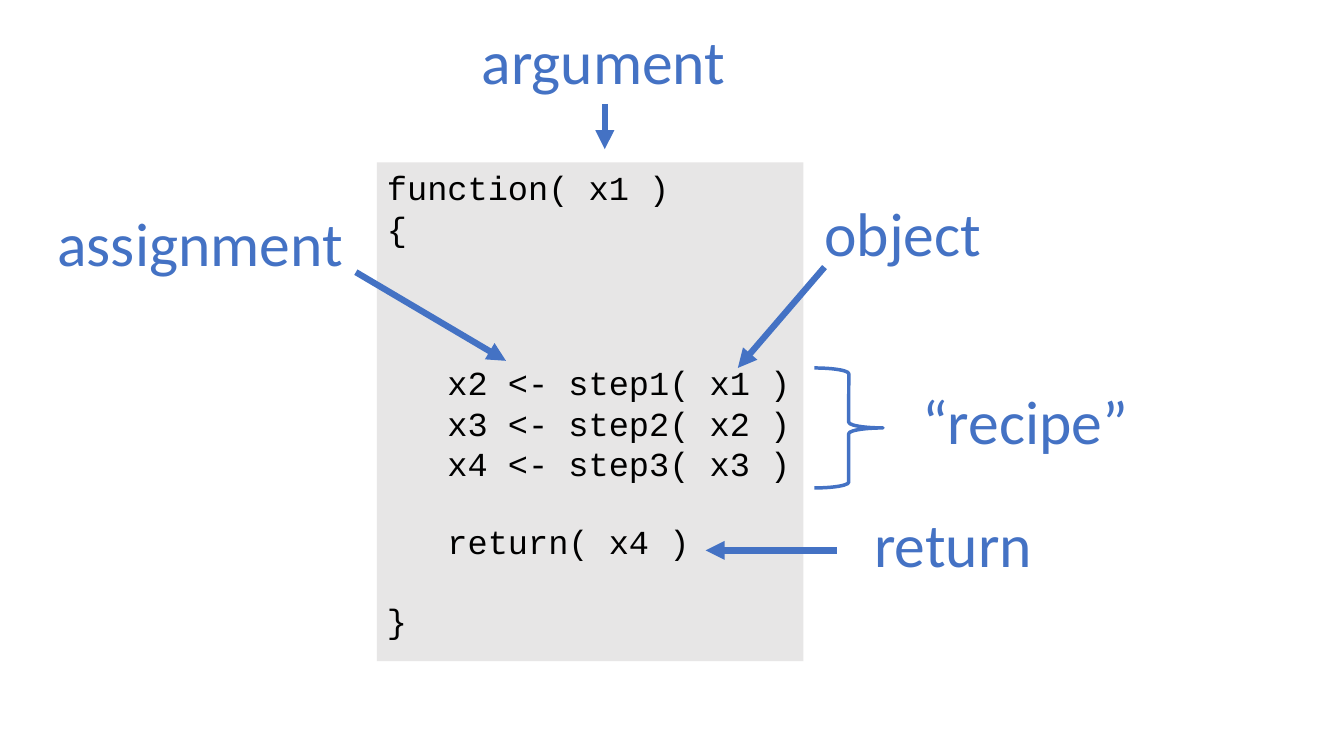
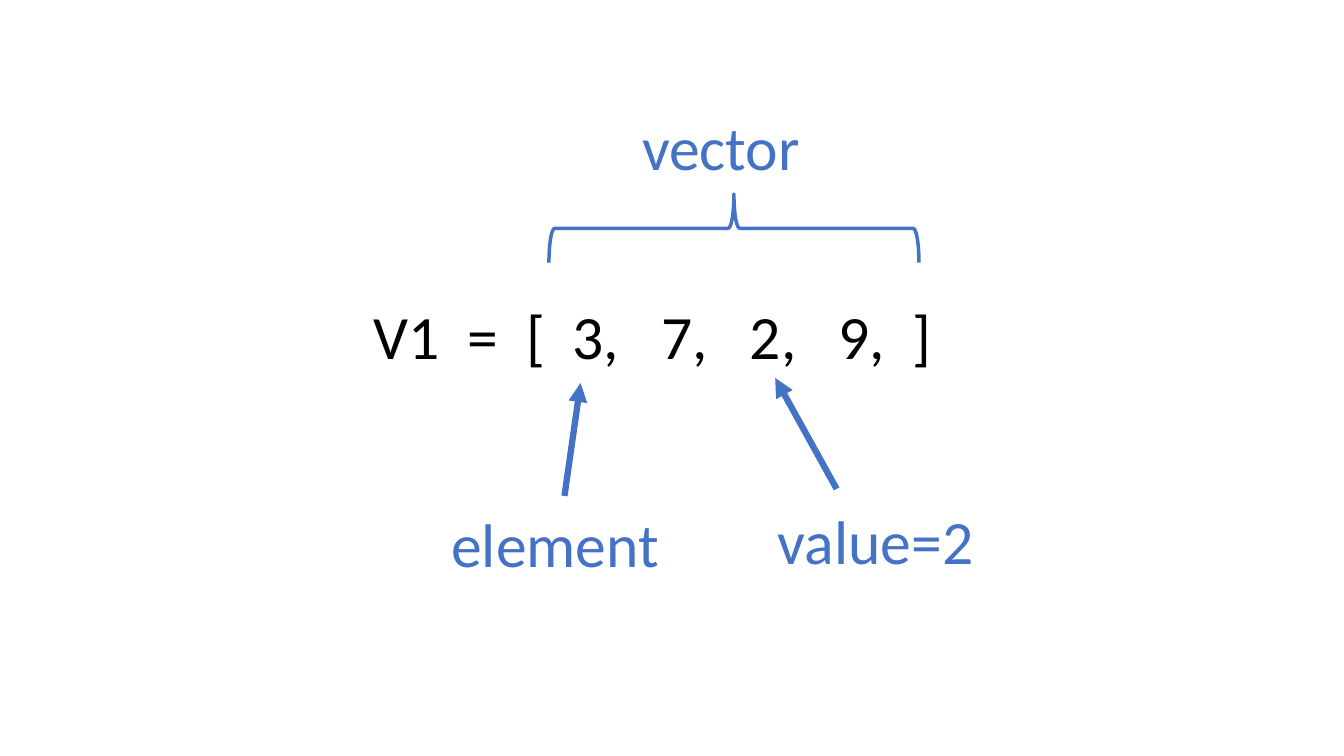
from dataclasses import dataclass

from lxml import etree
from pptx import Presentation
from pptx.dml.color import RGBColor
from pptx.enum.shapes import MSO_CONNECTOR, MSO_SHAPE
from pptx.enum.text import MSO_ANCHOR, PP_ALIGN
from pptx.oxml.ns import qn
from pptx.util import Inches, Pt

RECTANGLE = MSO_SHAPE.RECTANGLE
RIGHT_BRACE = MSO_SHAPE.RIGHT_BRACE
STRAIGHT = MSO_CONNECTOR.STRAIGHT
LEFT = PP_ALIGN.LEFT
TOP = MSO_ANCHOR.TOP

WIDTH, HEIGHT = Inches(13.33), Inches(7.5)
GRID = 100  # columns across and rows down the slide
BLANK_LAYOUT = 6


@dataclass(frozen=True)
class Theme:
    """Colours, fonts, type sizes and line weights of the deck."""
    accent: RGBColor = RGBColor(0x44, 0x72, 0xC4)
    ink: RGBColor = RGBColor(0, 0, 0)
    panel: RGBColor = RGBColor(0xE7, 0xE6, 0xE6)
    text_font: str = "Calibri"
    code_font: str = "Courier New"
    label_size: float = 44
    code_size: float = 24
    code_line: float = 27.2
    code_indent: float = 43.2
    label_rows: float = 11.2
    arrow_weight: float = 4.5
    brace_weight: float = 2.5


THEME = Theme()

# Each code line: blank lines above it, indent steps, text
CODE = [
    (0, 0, "function( x1 )"),
    (0, 0, "{"),
    (3, 1, "x2 <- step1( x1 )"),
    (0, 1, "x3 <- step2( x2 )"),
    (0, 1, "x4 <- step3( x3 )"),
    (1, 1, "return( x4 )"),
    (1, 0, "}"),
]

# Labels: text, left column, top row, columns wide
FUNCTION_LABELS = [
    ("argument", 35.1, 2.4, 19.88),
    ("assignment", 3.53, 26.4, 22.96),
    ("return", 64.3, 66.27, 13.35),
    ("object", 60.6, 25.07, 13.28),
    ("“recipe”", 67.88, 50, 16.95),
]
VECTOR_LABELS = [
    ("vector", 47.03, 13.73, 13.43),
    ("element", 32.85, 66.27, 17.1),
    ("value=2", 57.15, 65.87, 16.57),
]

# Arrows: start column and row, end column and row
FUNCTION_ARROWS = [
    (45, 13.73, 45, 19.73),
    (26.48, 36, 37.65, 47.73),
    (62.25, 72.8, 52.5, 72.8),
    (61.35, 35.33, 54.9, 48.67),
]
VECTOR_ARROWS = [
    (42, 65.6, 43.2, 50.67),
    (62.25, 64.67, 57.68, 50),
]

VECTOR_PARTS = ["V1", "=", "[", "3,", "7,", "2,", "9,", "]"]
FIRST_ELEMENT, ELEMENT_STEP = 1.97, 0.88
VECTOR_STOPS = [0.93, 1.51,
                *(FIRST_ELEMENT + ELEMENT_STEP * i for i in range(4)), 5.34]


def place(*cells):
    """Turn alternating columns and rows into slide lengths."""
    return [int(cell * (HEIGHT if i % 2 else WIDTH) / GRID)
            for i, cell in enumerate(cells)]


def style_font(para, name, size, colour):
    """Set the font of a whole paragraph."""
    para.font.name = name
    para.font.size = Pt(size)
    para.font.color.rgb = colour


def add_label(page, text, column, row, columns, colour=THEME.accent):
    """Add one line of large text and return its paragraph."""
    box = page.shapes.add_textbox(*place(column, row, columns, THEME.label_rows))
    box.text_frame.word_wrap = False
    para = box.text_frame.paragraphs[0]
    para.text = text
    style_font(para, THEME.text_font, THEME.label_size, colour)
    return para


def add_arrow(page, *ends):
    """Add a straight arrow with a triangle head at its end."""
    arrow = page.shapes.add_connector(STRAIGHT, *place(*ends))
    arrow.line.color.rgb = THEME.accent
    arrow.line.width = Pt(THEME.arrow_weight)
    etree.SubElement(arrow.line._get_or_add_ln(), qn("a:tailEnd"), type="triangle")
    etree.SubElement(arrow._element.spPr, qn("a:effectLst"))


def add_brace(page, *cells, rotation=0):
    """Add an outlined brace, turned by the given degrees."""
    brace = page.shapes.add_shape(RIGHT_BRACE, *place(*cells))
    brace.shadow.inherit = False
    brace.fill.background()
    brace.line.color.rgb = THEME.accent
    brace.line.width = Pt(THEME.brace_weight)
    brace.rotation = rotation


def add_code_panel(page, lines, *cells):
    """Add a filled panel that holds a code listing."""
    panel = page.shapes.add_shape(RECTANGLE, *place(*cells))
    panel.shadow.inherit = False
    panel.fill.solid()
    panel.fill.fore_color.rgb = THEME.panel
    panel.line.fill.background()
    frame = panel.text_frame
    frame.word_wrap = False
    frame.vertical_anchor = TOP
    for i, (gap, indent, text) in enumerate(lines):
        para = frame.add_paragraph() if i else frame.paragraphs[0]
        para.text = text
        para.alignment = LEFT
        para.space_before = Pt(gap * THEME.code_line)
        margin = Pt(indent * THEME.code_indent)
        para._p.get_or_add_pPr().set("marL", str(margin))
        style_font(para, THEME.code_font, THEME.code_size, THEME.ink)


def set_tab_stops(para, stops):
    """Give a paragraph left tab stops, in inches."""
    tabs = etree.Element(qn("a:tabLst"))
    for stop in stops:
        etree.SubElement(tabs, qn("a:tab"), pos=str(Inches(stop)), algn="l")
    properties = para._p.get_or_add_pPr()
    properties.insert_element_before(tabs, "a:defRPr", "a:extLst")


def add_notes_around(page, labels, arrows):
    """Add the labels of a diagram and their arrows."""
    for arrow in arrows:
        add_arrow(page, *arrow)
    for label in labels:
        add_label(page, *label)


def build_function_page(page):
    """Show the parts of a function."""
    add_code_panel(page, CODE, 28.05, 21.47, 31.73, 66)
    add_notes_around(page, FUNCTION_LABELS, FUNCTION_ARROWS)
    add_brace(page, 60.6, 48.67, 5.1, 15.87)


def build_vector_page(page):
    """Show the parts of a vector."""
    vector = add_label(page, "\t".join(VECTOR_PARTS), 27.08, 38.8, 43.43, THEME.ink)
    set_tab_stops(vector, VECTOR_STOPS)
    add_brace(page, 52.06, 5.73, 5.1, 48.93, rotation=270)
    add_notes_around(page, VECTOR_LABELS, VECTOR_ARROWS)


def main():
    """Build and save the deck."""
    deck = Presentation()
    deck.slide_width, deck.slide_height = WIDTH, HEIGHT
    for build in (build_function_page, build_vector_page):
        build(deck.slides.add_slide(deck.slide_layouts[BLANK_LAYOUT]))
    deck.save("out.pptx")


main()
